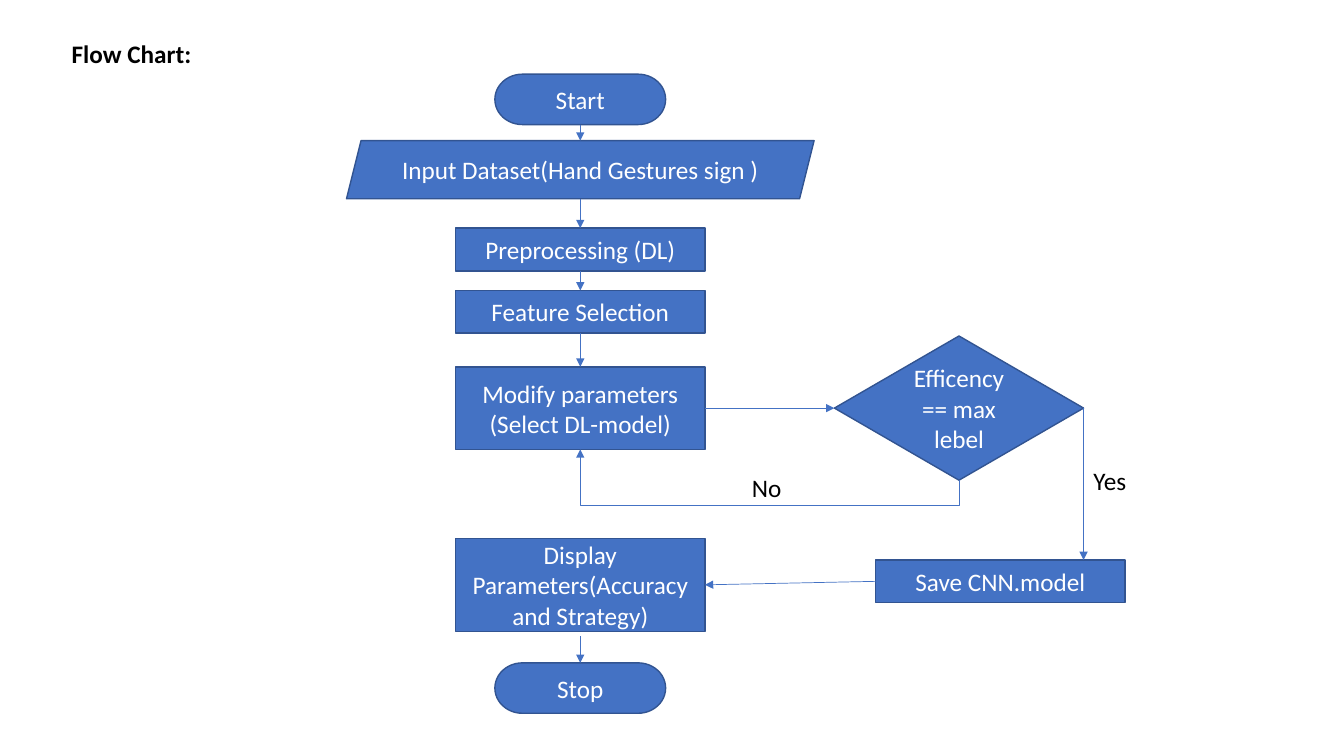
import pptx
import pptx.util
import pptx.dml.color
import pptx.enum.shapes
import pptx.enum.text
import pptx.oxml
import pptx.oxml.ns

Pt = pptx.util.Pt
SHAPE = pptx.enum.shapes.MSO_SHAPE
CONNECTOR = pptx.enum.shapes.MSO_CONNECTOR
ALIGN = pptx.enum.text.PP_ALIGN
ANCHOR = pptx.enum.text.MSO_ANCHOR
AUTO_SIZE = pptx.enum.text.MSO_AUTO_SIZE


def paint(color_format, value):
    color_format.rgb = pptx.dml.color.RGBColor.from_string(value)


def write(shape, text, color, align, bold=False):
    shape.text_frame.text = text
    para = shape.text_frame.paragraphs[0]
    para.alignment = align
    para.font.name = "Calibri"
    para.font.size = Pt(18)
    para.font.bold = bold
    paint(para.font.color, color)


deck = pptx.Presentation()
deck.slide_width, deck.slide_height = Pt(960), Pt(540)
page = deck.slides.add_slide(deck.slide_layouts[5])

title = page.shapes.title
title.left, title.top, title.width, title.height = Pt(44), Pt(24), Pt(166), Pt(29)
write(title, "Flow Chart:", "000000", ALIGN.LEFT, True)
title.text_frame.vertical_anchor = ANCHOR.TOP
title.text_frame.auto_size = AUTO_SIZE.NONE

main_x, decision_x, save_x = 414.5, 685, 714.5
steps = {
    "start": (SHAPE.FLOWCHART_TERMINATOR, main_x, 53, 122, 36, "Start"),
    "input": (SHAPE.PARALLELOGRAM, main_x, 100.5, 334, 41.5, "Input Dataset(Hand Gestures sign )"),
    "preprocess": (SHAPE.RECTANGLE, main_x, 163, 178, 30.5, "Preprocessing (DL)"),
    "feature": (SHAPE.RECTANGLE, main_x, 207.5, 178, 30.5, "Feature Selection"),
    "modify": (SHAPE.RECTANGLE, main_x, 262, 178, 59, "Modify parameters (Select DL-model)"),
    "decision": (SHAPE.DIAMOND, decision_x, 240, 178, 103, "Efficency == max lebel"),
    "save": (SHAPE.RECTANGLE, save_x, 400, 178, 30.5, "Save CNN.model"),
    "display": (SHAPE.RECTANGLE, main_x, 384.5, 178, 66.5, "Display Parameters(Accuracy and Strategy)"),
    "stop": (SHAPE.FLOWCHART_TERMINATOR, main_x, 473.5, 122, 36, "Stop"),
}
boxes = {}
for name, (kind, center, top, width, height, text) in steps.items():
    box = page.shapes.add_shape(kind, Pt(center - width / 2), Pt(top), Pt(width), Pt(height))
    box.shadow.inherit = False
    box.fill.solid()
    paint(box.fill.fore_color, "4472C4")
    paint(box.line.color, "325491")
    box.line.width = Pt(1)
    write(box, text, "FFFFFF", ALIGN.CENTER)
    box.text_frame.vertical_anchor = ANCHOR.MIDDLE
    boxes[name] = box

for text, left, top in (("Yes", 774, 328.5), ("No", 530, 334)):
    label = page.shapes.add_textbox(Pt(left), Pt(top), Pt(58), Pt(29))
    label.text_frame.word_wrap = True
    write(label, text, "000000", ALIGN.LEFT)

arrows = [
    ((main_x, 89), (main_x, 100.5), ("start", 2), None),
    ((main_x, 142), (main_x, 163), None, ("preprocess", 0)),
    ((main_x, 193.5), (main_x, 207.5), ("preprocess", 2), ("feature", 0)),
    ((main_x, 238), (main_x, 262), ("feature", 2), ("modify", 0)),
    ((503.5, 291.5), (596, 291.5), ("modify", 3), ("decision", 1)),
    ((774, 291.5), (774, 400), ("decision", 3), None),
    ((625.5, 415.25), (503.5, 417.75), ("save", 1), ("display", 3)),
    ((main_x, 454.5), (main_x, 473.5), None, ("stop", 0)),
    ((decision_x, 343), (main_x, 321), ("decision", 2), ("modify", 2)),
]
for begin, end, source, target in arrows:
    is_loop = source == ("decision", 2)
    kind = CONNECTOR.ELBOW if is_loop else CONNECTOR.STRAIGHT
    arrow = page.shapes.add_connector(kind, *[Pt(value) for value in begin + end])
    if source:
        arrow.begin_connect(boxes[source[0]], source[1])
    if target:
        arrow.end_connect(boxes[target[0]], target[1])
    paint(arrow.line.color, "4472C4")
    arrow.line.width = Pt(0.5)
    properties = arrow._element.spPr
    head = pptx.oxml.ns.qn("a:tailEnd")
    arrow.line._get_or_add_ln().append(properties.makeelement(head, {"type": "triangle"}))
    properties.append(properties.makeelement(pptx.oxml.ns.qn("a:effectLst"), {}))

    if is_loop:
        run, rise = begin[0] - end[0], begin[1] - end[1]
        arrow.left = Pt((begin[0] + end[0] - rise) / 2)
        arrow.top = Pt((begin[1] + end[1] - run) / 2)
        arrow.width, arrow.height = Pt(rise), Pt(run)
        frame = properties.find(pptx.oxml.ns.qn("a:xfrm"))
        frame.attrib.pop("flipV", None)
        frame.set("rot", "5400000")
        frame.set("flipH", "1")
        guides = properties.find(".//" + pptx.oxml.ns.qn("a:avLst"))
        guide = {"name": "adj1", "fmla": "val -80400"}
        guides.append(guides.makeelement(pptx.oxml.ns.qn("a:gd"), guide))

deck.save("out.pptx")
